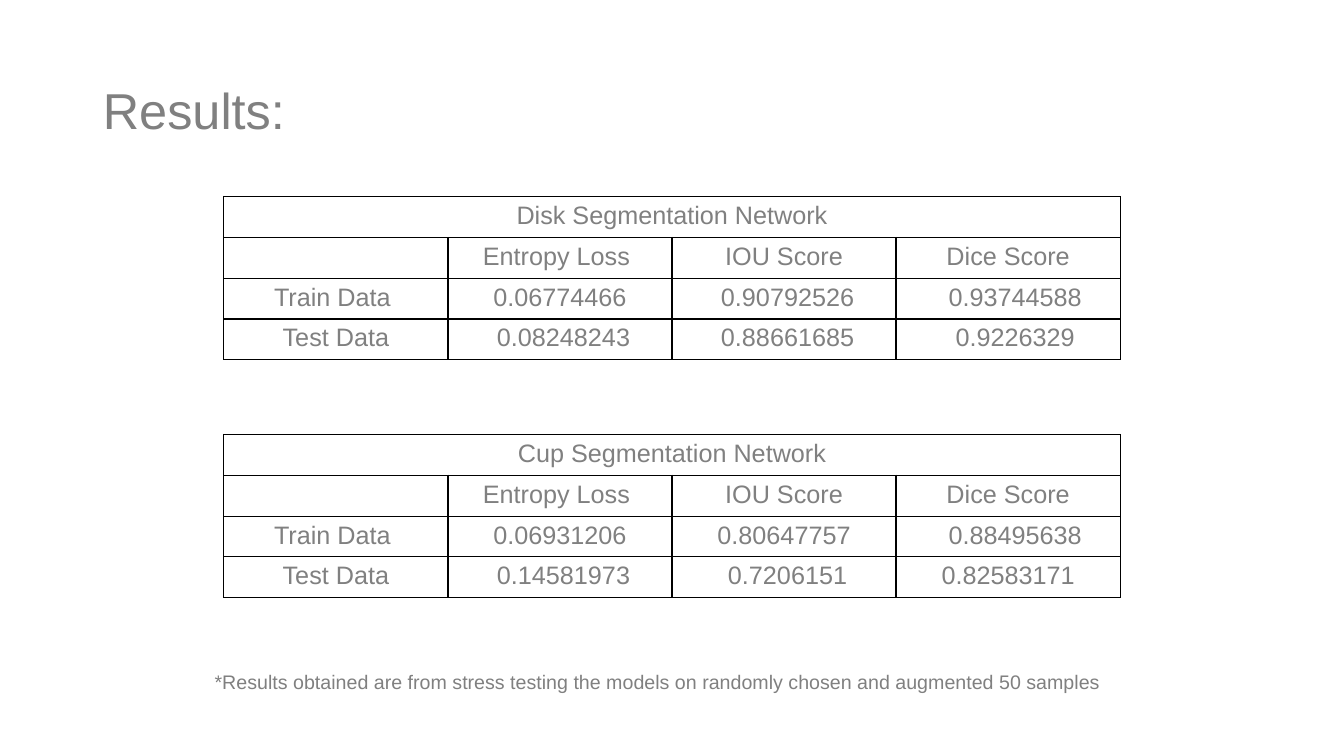
from lxml import etree
from pptx import Presentation
from pptx.dml.color import RGBColor
from pptx.enum import text
from pptx.oxml import ns
from pptx.util import Inches, Pt

TITLE = "Results:"
FOOTNOTE = ("*Results obtained are from stress testing the models "
            "on randomly chosen and augmented 50 samples")
HEADERS = ("", "Entropy Loss", "IOU Score", "Dice Score")
# Each nudge is a shift right (or left, if negative), counted in space widths.
HEADER_NUDGES = (0, -1, 0, 0)
NETWORKS = [
    {
        "name": "Disk Segmentation Network",
        "top": 1.95,
        "rows": [("Train Data", "0.06774466", "0.90792526", "0.93744588"),
                 ("Test Data", "0.08248243", "0.88661685", "0.9226329")],
        "nudges": [(-1, 0, 1, 2), (0, 1, 1, 2)],
    },
    {
        "name": "Cup Segmentation Network",
        "top": 4.31,
        "rows": [("Train Data", "0.06931206", "0.80647757", "0.88495638"),
                 ("Test Data", "0.14581973", "0.7206151", "0.82583171")],
        "nudges": [(-1, 0, 0, 2), (0, 1, 1, 0)],
    },
]
COLORS = {"text": "808080", "border": "000000"}
FONT = "Arial"
TABLE_LEFT, TABLE_WIDTH, TABLE_HEIGHT = 2.22, 8.89, 1.62
CELL_MARGIN, SPACE_WIDTH = 0.1, 0.07


def write(frame, content, size, align=text.PP_ALIGN.LEFT, line_spacing=None):
    paragraph = frame.paragraphs[0]
    paragraph.alignment = align
    paragraph.line_spacing = line_spacing
    run = paragraph.add_run()
    run.text = content
    run.font.name = FONT
    run.font.size = Pt(size)
    run.font.color.rgb = RGBColor.from_string(COLORS["text"])


def format_cell(cell):
    """Draw a border on all four sides and leave the cell unfilled."""
    properties = cell._tc.get_or_add_tcPr()
    for side in ("lnL", "lnR", "lnT", "lnB"):
        line = etree.SubElement(properties, ns.qn(f"a:{side}"), w=str(Pt(1)))
        fill = etree.SubElement(line, ns.qn("a:solidFill"))
        etree.SubElement(fill, ns.qn("a:srgbClr"), val=COLORS["border"])
    cell.fill.background()


def add_network_table(slide, network):
    rows = [(network["name"], "", "", ""), HEADERS, *network["rows"]]
    nudges = [(0, 0, 0, 0), HEADER_NUDGES, *network["nudges"]]
    table = slide.shapes.add_table(
        len(rows), len(HEADERS), Inches(TABLE_LEFT), Inches(network["top"]),
        Inches(TABLE_WIDTH), Inches(TABLE_HEIGHT)).table
    table.first_row = table.horz_banding = False
    table.cell(0, 0).merge(table.cell(0, len(HEADERS) - 1))
    for row_index, row in enumerate(rows):
        for column_index, content in enumerate(row):
            cell = table.cell(row_index, column_index)
            format_cell(cell)
            if content:
                nudge = nudges[row_index][column_index] * SPACE_WIDTH
                cell.margin_left = Inches(CELL_MARGIN + max(nudge, 0))
                cell.margin_right = Inches(CELL_MARGIN + max(-nudge, 0))
                write(cell.text_frame, content, 18, text.PP_ALIGN.CENTER)


def main():
    presentation = Presentation()
    presentation.slide_width = Inches(13.33)
    presentation.slide_height = Inches(7.5)
    slide = presentation.slides.add_slide(presentation.slide_layouts[5])

    title = slide.shapes.title
    title.left, title.top = Inches(0.92), Inches(0.4)
    title.width, title.height = Inches(11.5), Inches(1.45)
    title.text_frame.vertical_anchor = text.MSO_ANCHOR.MIDDLE
    write(title.text_frame, TITLE, 36, line_spacing=0.9)

    for network in NETWORKS:
        add_network_table(slide, network)

    footnote = slide.shapes.add_textbox(
        Inches(2.03), Inches(6.6), Inches(9.02), Inches(0.34))
    footnote.text_frame.word_wrap = False
    footnote.text_frame.auto_size = text.MSO_AUTO_SIZE.SHAPE_TO_FIT_TEXT
    write(footnote.text_frame, FOOTNOTE, 14)

    presentation.save("out.pptx")


if __name__ == "__main__":
    main()
